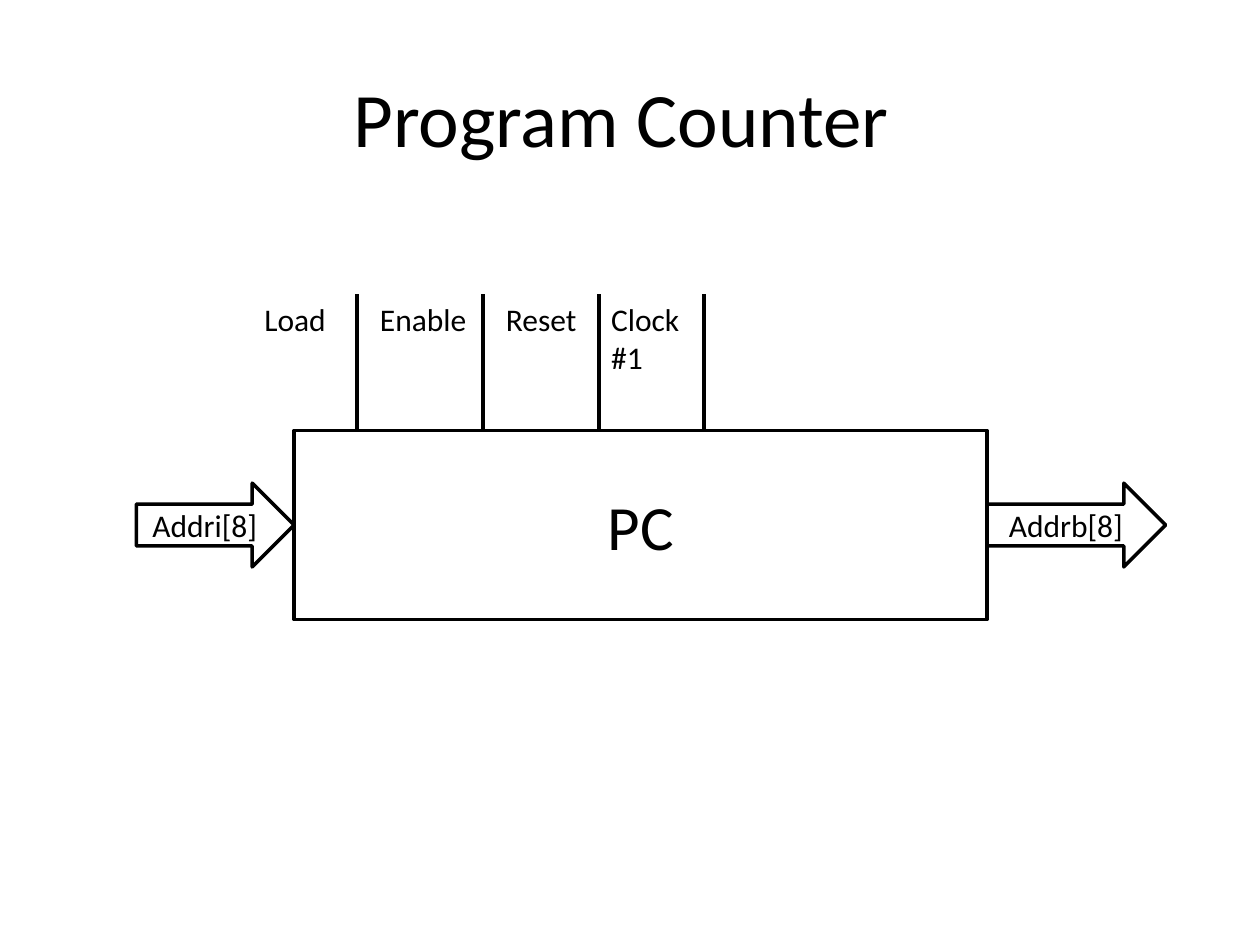
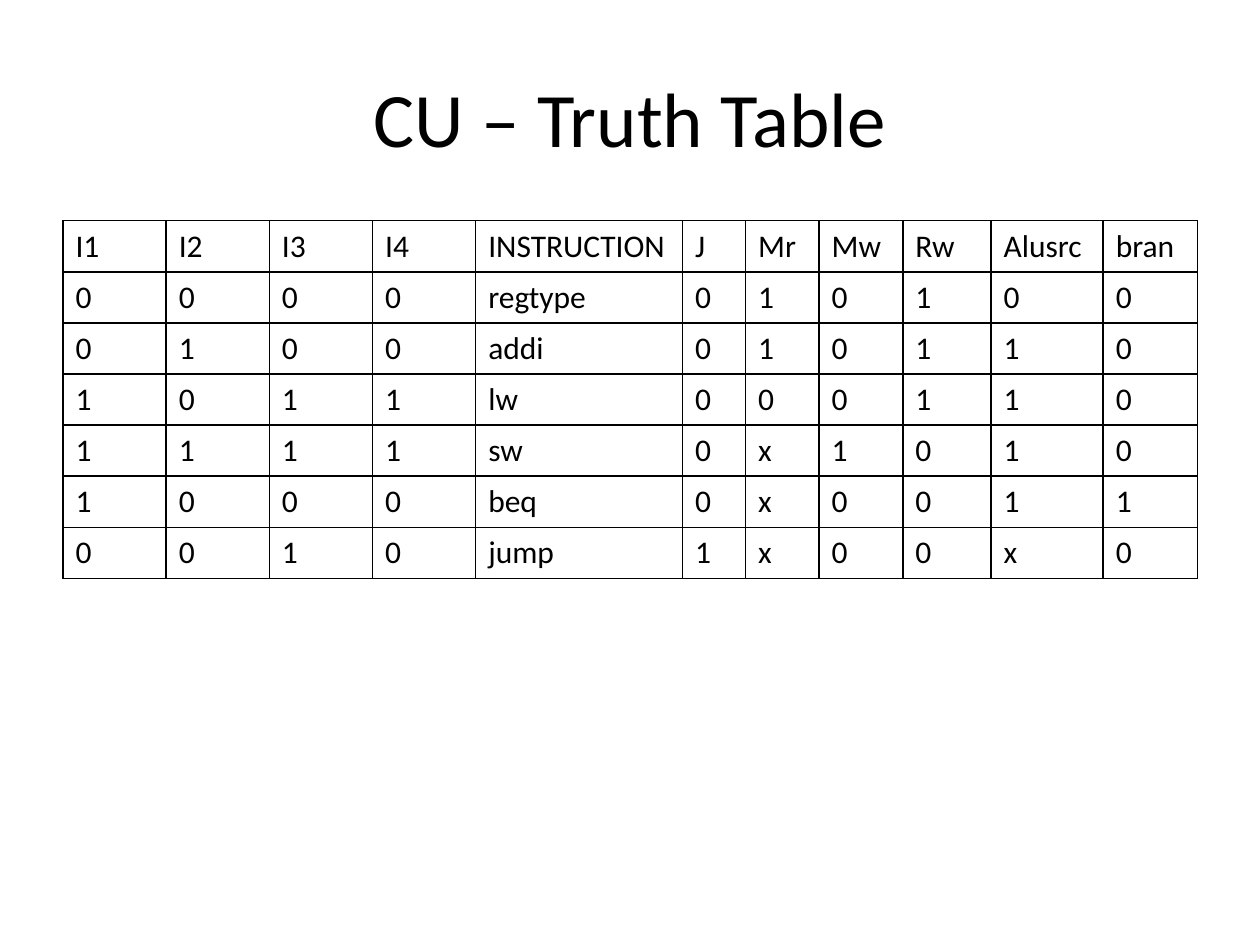
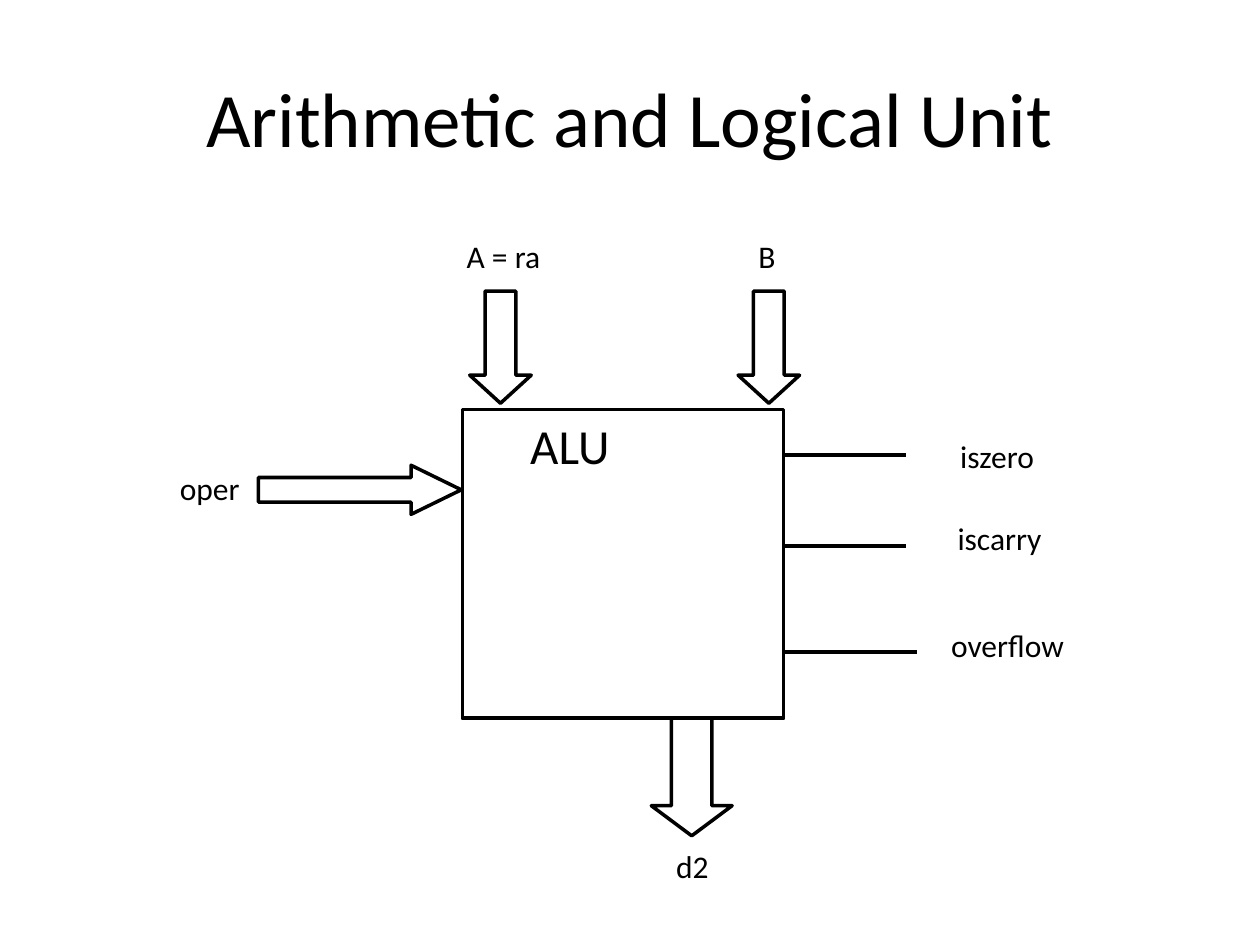
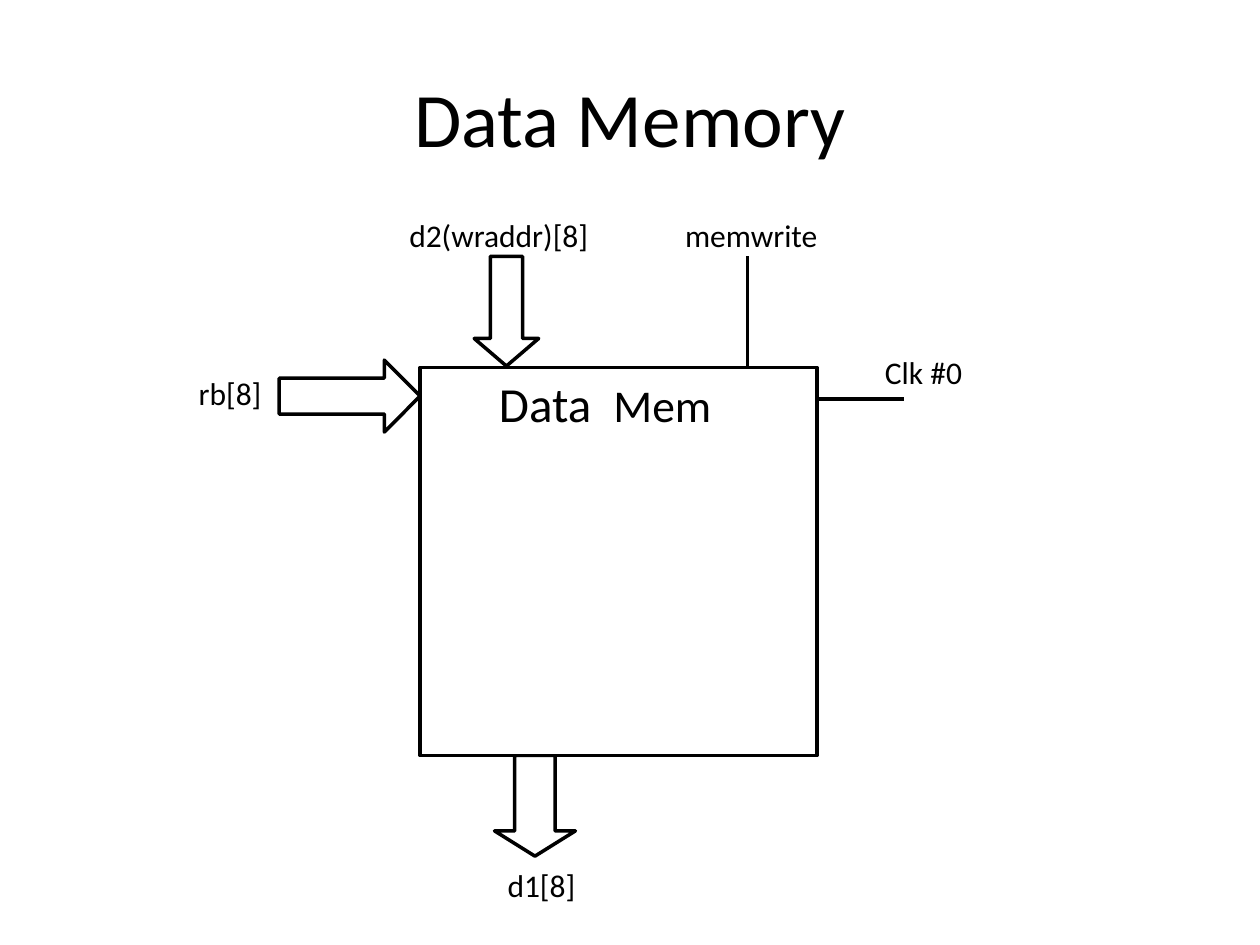
import pptx
import pptx.util
import pptx.dml.color
import pptx.enum.shapes
import pptx.enum.text
import pptx.oxml.ns
from lxml import etree

Cm = pptx.util.Cm
Pt = pptx.util.Pt
Shapes = pptx.enum.shapes.MSO_SHAPE
Align = pptx.enum.text.PP_ALIGN
Anchor = pptx.enum.text.MSO_ANCHOR
qn = pptx.oxml.ns.qn

FONT = "Calibri"
BLACK = "000000"
WHITE = "FFFFFF"
LABEL_SIZE = 18
LABEL_HEIGHT = 1.02
TITLE_BOX = (1.27, 0.76, 22.86, 3.18)
DIRECTIONS = {"right": Shapes.RIGHT_ARROW, "down": Shapes.DOWN_ARROW}


def color(value):
    return pptx.dml.color.RGBColor.from_string(value)


def lengths(*values):
    return [Cm(value) for value in values]


def apply_format(target, values):
    for name, value in values.items():
        setattr(target, name, value)


def style_line(line, width):
    line.color.rgb = color(BLACK)
    line.width = Pt(width)


def write_text(text_frame, text, size=LABEL_SIZE, alignment=Align.LEFT, **frame_format):
    apply_format(text_frame, {"word_wrap": True, **frame_format})
    text_frame.text = text
    for paragraph in text_frame.paragraphs:
        paragraph.alignment = alignment
        for run in paragraph.runs:
            apply_format(run.font, {"name": FONT, "size": Pt(size)})
            run.font.color.rgb = color(BLACK)


def add_outlined_shape(slide, preset, box):
    shape = slide.shapes.add_shape(preset, *lengths(*box))
    shape.shadow.inherit = False
    shape.fill.solid()
    shape.fill.fore_color.rgb = color(WHITE)
    style_line(shape.line, 2)
    return shape


def add_arrow(slide, direction, box, head=0.5, text=""):
    arrow = add_outlined_shape(slide, DIRECTIONS[direction], box)
    arrow.adjustments[1] = head
    if text:
        write_text(arrow.text_frame, text, alignment=Align.CENTER,
                   vertical_anchor=Anchor.MIDDLE)


def add_wire(slide, start, end, width):
    wire = slide.shapes.add_connector(
        pptx.enum.shapes.MSO_CONNECTOR.STRAIGHT, *lengths(*start, *end))
    style_line(wire.line, width)
    etree.SubElement(wire._element.spPr, qn("a:effectLst"))


def add_label(slide, text, box, alignment=Align.CENTER, size=LABEL_SIZE, **frame_format):
    label = slide.shapes.add_textbox(*lengths(*box))
    write_text(label.text_frame, text, size, alignment, **frame_format)


def add_titled_slide(presentation, title):
    slide = presentation.slides.add_slide(presentation.slide_layouts[6])
    add_label(slide, title, TITLE_BOX, size=44, vertical_anchor=Anchor.MIDDLE)
    return slide


def draw_program_counter(slide, box):
    left, top, width, height = box
    block = add_outlined_shape(slide, Shapes.RECTANGLE, box)
    write_text(block.text_frame, "PC", 36, Align.CENTER, vertical_anchor=Anchor.MIDDLE)
    arrow_height = 1.69
    arrow_top = top + (height - arrow_height) / 2
    for text, arrow_left, arrow_width in (
        ("Addri[8]", left - 3.18, 3.18),
        ("Addrb[8]", left + width, 3.6),
    ):
        add_arrow(slide, "right", (arrow_left, arrow_top, arrow_width, arrow_height), text=text)
    wire_top = top - 2.75
    for text, label_x, label_width, wire_x in (
        ("Load", -0.85, 1.9, 1.27),
        ("Enable", 1.48, 2.33, 3.81),
        ("Reset", 4.02, 2.12, 6.14),
        ("Clock\n#1", 6.14, 2.12, 8.26),
    ):
        add_wire(slide, (left + wire_x, wire_top), (left + wire_x, top), 2.25)
        add_label(slide, text, (left + label_x, wire_top, label_width, LABEL_HEIGHT), Align.LEFT)


def draw_truth_table(slide, box, column_widths, rows):
    table = slide.shapes.add_table(len(rows), len(column_widths), *lengths(*box)).table
    apply_format(table, {"first_row": False, "horz_banding": False})
    for column, width in zip(table.columns, column_widths):
        column.width = Cm(width)
    for row, values in zip(table.rows, rows):
        row.height = Cm(box[3] / len(rows))
        for cell, value in zip(row.cells, values):
            write_text(cell.text_frame, value)
            add_cell_borders(cell)
            cell.fill.solid()
            cell.fill.fore_color.rgb = color(WHITE)


def add_cell_borders(cell):
    properties = cell._tc.get_or_add_tcPr()
    for side in ("a:lnL", "a:lnR", "a:lnT", "a:lnB"):
        border = etree.SubElement(properties, qn(side), w=str(Pt(1)))
        fill = etree.SubElement(border, qn("a:solidFill"))
        etree.SubElement(fill, qn("a:srgbClr"), val=BLACK)


def draw_top_captioned_block(slide, box, caption, indent):
    block = add_outlined_shape(slide, Shapes.RECTANGLE, box)
    write_text(block.text_frame, caption, 28, vertical_anchor=Anchor.TOP,
               margin_left=Cm(indent))
    return block.text_frame.paragraphs[0]


def draw_arithmetic_unit(slide, box):
    left, top, width, height = box
    label_width = 3.38
    for arrow_x in (0.15, 5.56):
        add_arrow(slide, "down", (left + arrow_x, top - 2.39, 1.24, 2.26), 0.456)
    add_arrow(slide, "right", (left - 4.11, top + 1.12, 4.09, 0.99), 1.023)
    add_arrow(slide, "down", (left + 3.81, top + height - 0.07, 1.63, 2.44), 0.373)
    for wire_y, wire_length, wire_width in ((0.91, 2.46, 2), (2.74, 2.46, 2.25), (4.88, 2.69, 2)):
        add_wire(slide, (left + width, top + wire_y),
                 (left + width + wire_length, top + wire_y), wire_width)
    draw_top_captioned_block(slide, box, "ALU", 1.37)
    for text, label_x, label_y, alignment in (
        ("A = ra", -0.86, -3.61, Align.CENTER),
        ("B", 4.45, -3.61, Align.CENTER),
        ("oper", -7.62, 1.07, Align.RIGHT),
        ("d2", 2.95, 8.69, Align.CENTER),
        ("iszero", 9.09, 0.43, Align.CENTER),
        ("iscarry", 9.14, 2.08, Align.CENTER),
        ("overflow", 9.3, 4.24, Align.CENTER),
    ):
        add_label(slide, text, (left + label_x, top + label_y, label_width, LABEL_HEIGHT), alignment)


def draw_data_memory(slide, box):
    left, top, width, height = box
    label_width = 4.45
    add_arrow(slide, "right", (left - 2.84, top - 0.15, 2.84, 1.45), 0.497)
    add_arrow(slide, "down", (left + 1.5, top + height, 1.63, 2.03), 0.312)
    add_arrow(slide, "down", (left + 1.09, top - 2.24, 1.3, 2.21), 0.427)
    add_wire(slide, (left + 6.6, top - 2.24), (left + 6.6, top), 2)
    add_wire(slide, (left + width, top + 0.64), (left + width + 1.75, top + 0.64), 2.25)
    caption = draw_top_captioned_block(slide, box, "Data", 1.59)
    for text, size, spacing in ((" ", 28, 6.3), ("Mem", 26, 0)):
        run = caption.add_run()
        run.text = text
        apply_format(run.font, {"name": FONT, "size": Pt(size)})
        run.font.color.rgb = color(BLACK)
        run._r.get_or_add_rPr().set("spc", str(round(spacing * 100)))
    for text, label_x, label_y, text_width, alignment in (
        ("d2(wraddr)[8]", -0.64, -3.18, label_width, Align.CENTER),
        ("memwrite", 4.45, -3.18, label_width, Align.CENTER),
        ("rb[8]", -7.4, 0, label_width, Align.RIGHT),
        ("d1[8]", 0.22, 9.93, label_width, Align.CENTER),
        ("Clk #0", 9.12, -0.42, 2.21, Align.LEFT),
    ):
        add_label(slide, text, (left + label_x, top + label_y, text_width, LABEL_HEIGHT), alignment)


def main():
    presentation = pptx.Presentation()
    apply_format(presentation, {"slide_width": Cm(25.4), "slide_height": Cm(19.05)})

    slide = add_titled_slide(presentation, "Program Counter ")
    draw_program_counter(slide, (5.93, 8.68, 13.97, 3.81))

    slide = add_titled_slide(presentation, "CU – Truth Table")
    column_widths = [2.08] * 4 + [4.17, 1.27, 1.48, 1.69, 1.78, 2.26, 1.9]
    rows = [line.split() for line in (
        "I1 I2 I3 I4 INSTRUCTION J Mr Mw Rw Alusrc bran",
        "0 0 0 0 regtype 0 1 0 1 0 0",
        "0 1 0 0 addi 0 1 0 1 1 0",
        "1 0 1 1 lw 0 0 0 1 1 0",
        "1 1 1 1 sw 0 x 1 0 1 0",
        "1 0 0 0 beq 0 x 0 0 1 1",
        "0 0 1 0 jump 1 x 0 0 x 0",
    )]
    draw_truth_table(slide, (1.27, 4.45, 22.86, 7.21), column_widths, rows)

    slide = add_titled_slide(presentation, "Arithmetic and Logical Unit")
    draw_arithmetic_unit(slide, (9.32, 8.26, 6.48, 6.22))

    slide = add_titled_slide(presentation, "Data Memory")
    draw_data_memory(slide, (8.47, 7.41, 8, 7.82))

    presentation.save("out.pptx")


if __name__ == "__main__":
    main()
